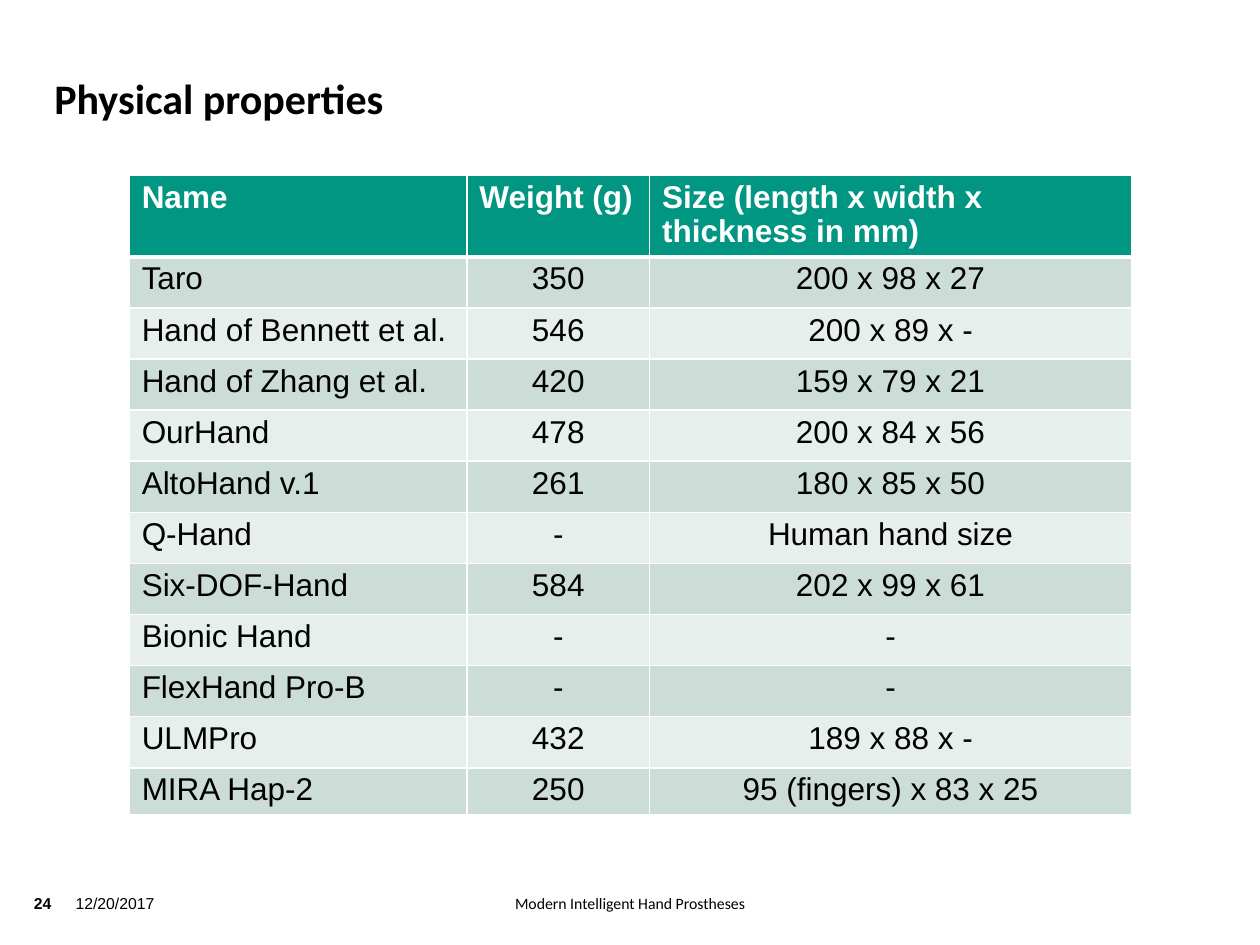
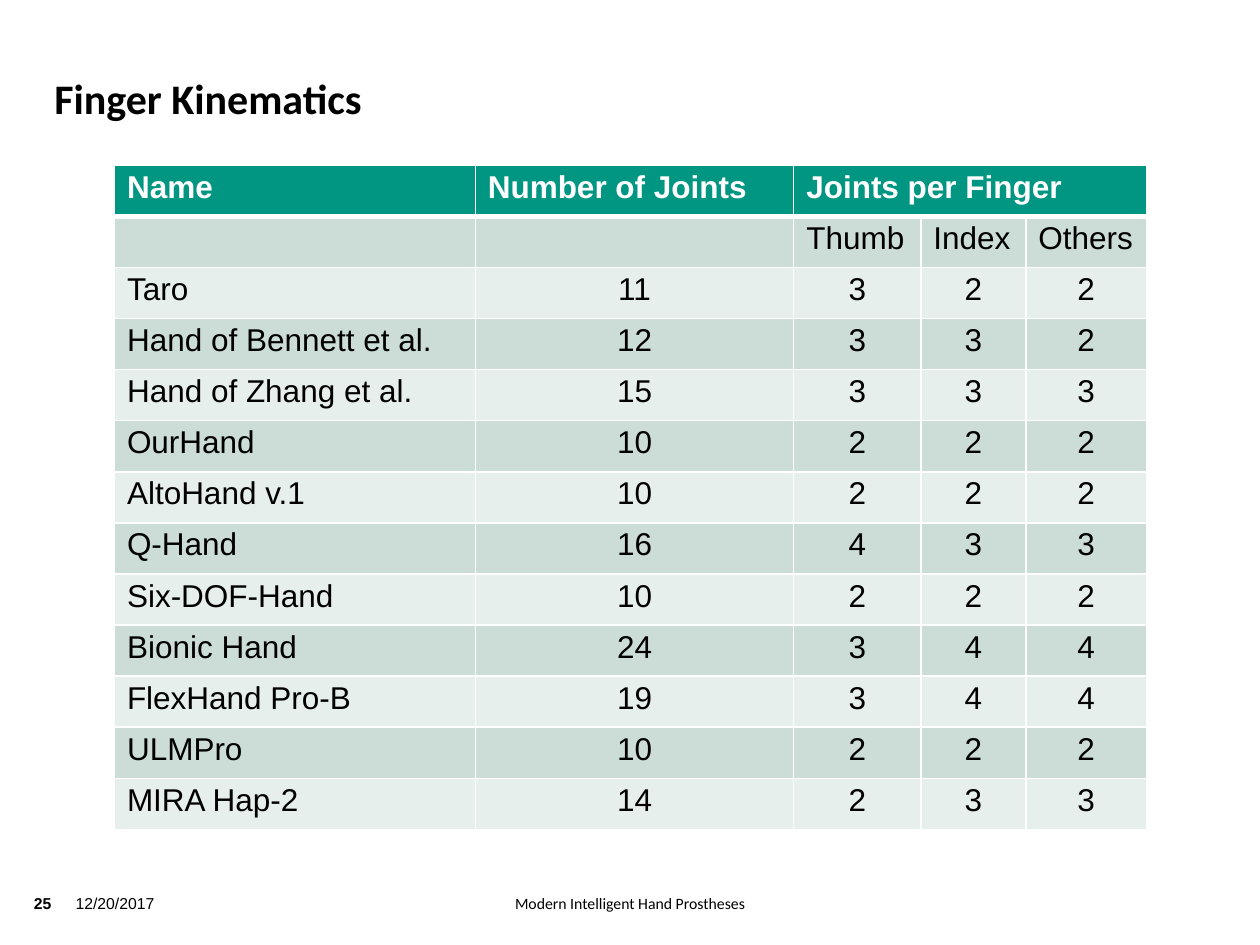
from collections import namedtuple
from dataclasses import dataclass

from lxml.etree import SubElement
from pptx import Presentation
from pptx.dml.color import RGBColor
from pptx.enum.text import MSO_ANCHOR, MSO_AUTO_SIZE, PP_ALIGN
from pptx.oxml.ns import qn
from pptx.util import Pt

Box = namedtuple("Box", "left top width height")


@dataclass(frozen=True)
class Theme:
    text: str = "000000"
    header_text: str = "FFFFFF"
    header_fill: str = "009682"
    bands: tuple = ("CCDDD8", "E7EFED")
    rule: str = "FFFFFF"
    rule_width: float = 1
    header_rule_width: float = 3
    heading_font: str = "Calibri"
    body_font: str = "Arial"
    title_size: int = 24
    table_size: int = 18
    footer_size: int = 9
    table_spacing: float = 0.95
    row_height: float = 29.2


THEME = Theme()
SLIDE = Box(0, 0, 720, 540)
TITLE = Box(31, 26, 544, 44)
FOOTER = Box(19.4, 508.3, 681.2, 28)
FIRST_PAGE = 24
DATE = "12/20/2017"
TALK = "Modern Intelligent Hand Prostheses"

HANDS = ("Taro", "Hand of Bennett et al.", "Hand of Zhang et al.", "OurHand",
         "AltoHand v.1", "Q-Hand", "Six-DOF-Hand", "Bionic Hand",
         "FlexHand Pro-B", "ULMPro", "MIRA Hap-2")
WEIGHTS = ("350", "546", "420", "478", "261", "-", "584", "-", "-", "432", "250")
SIZES = ("200 x 98 x 27", "200 x 89 x -", "159 x 79 x 21", "200 x 84 x 56",
         "180 x 85 x 50", "Human hand size", "202 x 99 x 61", "-", "-",
         "189 x 88 x -", "95 (fingers) x 83 x 25")
JOINTS = (11, 12, 15, 10, 10, 16, 10, 24, 19, 10, 14)
THUMB = (3, 3, 3, 2, 2, 4, 2, 3, 3, 2, 2)
INDEX = (2, 3, 3, 2, 2, 3, 2, 4, 4, 2, 3)
OTHERS = (2, 2, 3, 2, 2, 3, 2, 4, 4, 2, 3)


def set_all(target, values):
    for name, value in values.items():
        setattr(target, name, value)


def place(shape, box):
    set_all(shape, {name: Pt(value) for name, value in box._asdict().items()})


def write(frame, text, size, font=THEME.body_font, color=THEME.text,
          bold=False, align=PP_ALIGN.LEFT, spacing=1.0):
    paragraph = frame.paragraphs[0]
    set_all(paragraph, {"alignment": align, "line_spacing": spacing})
    run = paragraph.add_run()
    run.text = text
    set_all(run.font, {"size": Pt(size), "name": font, "bold": bold})
    run.font.color.rgb = RGBColor.from_string(color)


def set_frame(frame, anchor=MSO_ANCHOR.TOP, inset=0):
    set_all(frame, {"word_wrap": True, "auto_size": MSO_AUTO_SIZE.NONE,
                    "vertical_anchor": anchor})
    sides = ("left", "top", "right", "bottom")
    set_all(frame, {f"margin_{side}": Pt(inset) for side in sides})


def add_title(slide, box, text):
    title = slide.shapes.title
    place(title, box)
    set_frame(title.text_frame, MSO_ANCHOR.BOTTOM)
    write(title.text_frame, text, THEME.title_size, THEME.heading_font, bold=True)


def add_footer(slide, box, page):
    # Offset from the band, width, text and format of each part
    parts = (
        (0, 2.2, 26, str(page), {"bold": True}),
        (23.8, 2.2, 68, DATE, {}),
        (99.4, 3.6, 482.4, TALK, {"font": THEME.heading_font, "spacing": 0.9,
                                  "align": PP_ALIGN.CENTER}),
    )
    for dx, dy, width, text, style in parts:
        part = slide.shapes.add_textbox(Pt(box.left + dx), Pt(box.top + dy),
                                        Pt(width), Pt(box.height - dy))
        set_frame(part.text_frame)
        write(part.text_frame, text, THEME.footer_size, **style)


def rule_cell(cell, top, bottom):
    properties = cell._tc.get_or_add_tcPr()
    widths = {"L": THEME.rule_width, "R": THEME.rule_width, "T": top, "B": bottom}
    for side, width in widths.items():
        line = SubElement(properties, qn(f"a:ln{side}"), w=str(Pt(width)))
        fill = SubElement(line, qn("a:solidFill"))
        SubElement(fill, qn("a:srgbClr"), val=THEME.rule)


def format_cell(cell, text, row, align):
    header = row == 0
    thin, thick = THEME.rule_width, THEME.header_rule_width
    rule_cell(cell, thick if row == 1 else thin, thick if header else thin)
    cell.fill.solid()
    fill = THEME.header_fill if header else THEME.bands[(row - 1) % 2]
    cell.fill.fore_color.rgb = RGBColor.from_string(fill)
    if text:
        write(cell.text_frame, text, THEME.table_size, bold=header, align=align,
              color=THEME.header_text if header else THEME.text,
              spacing=THEME.table_spacing)


def add_hand_table(slide, left, top, widths, heights, rows, heading_rows=1):
    box = Box(left, top, sum(widths), sum(heights))
    table = slide.shapes.add_table(len(rows), len(widths), *map(Pt, box)).table
    for column, width in zip(table.columns, widths):
        column.width = Pt(width)
    for line, height in zip(table.rows, heights):
        line.height = Pt(height)
    for r, values in enumerate(rows):
        for c, value in enumerate(values):
            centred = r >= heading_rows and c > 0
            format_cell(table.cell(r, c), str(value), r,
                        PP_ALIGN.CENTER if centred else PP_ALIGN.LEFT)
    return table


def add_physical_table(slide):
    rows = [("Name", "Weight (g)", "Size (length x width x thickness in mm)"),
            *zip(HANDS, WEIGHTS, SIZES)]
    # Two-line header and a tighter last row
    heights = [46.4] + [THEME.row_height] * (len(rows) - 2) + [26.9]
    add_hand_table(slide, 73.8, 100.4, (193, 104.4, 275.4), heights, rows)


def add_kinematics_table(slide):
    rows = [("Name", "Number of Joints", "Joints per Finger", "", ""),
            ("", "", "Thumb", "Index", "Others"),
            *zip(HANDS, JOINTS, THUMB, INDEX, OTHERS)]
    heights = [THEME.row_height] * len(rows)
    table = add_hand_table(slide, 65.4, 94.4, (206.2, 182, 72.6, 60, 69),
                           heights, rows, heading_rows=2)
    table.cell(0, 2).merge(table.cell(0, 4))


def main():
    deck = Presentation()
    set_all(deck, {"slide_width": Pt(SLIDE.width), "slide_height": Pt(SLIDE.height)})
    title_only = deck.slide_layouts[5]
    topics = (("Physical properties", add_physical_table),
              ("Finger Kinematics", add_kinematics_table))
    for page, (topic, add_table) in enumerate(topics, FIRST_PAGE):
        slide = deck.slides.add_slide(title_only)
        add_footer(slide, FOOTER, page)
        add_title(slide, TITLE, topic)
        add_table(slide)
    deck.save("out.pptx")


if __name__ == "__main__":
    main()
